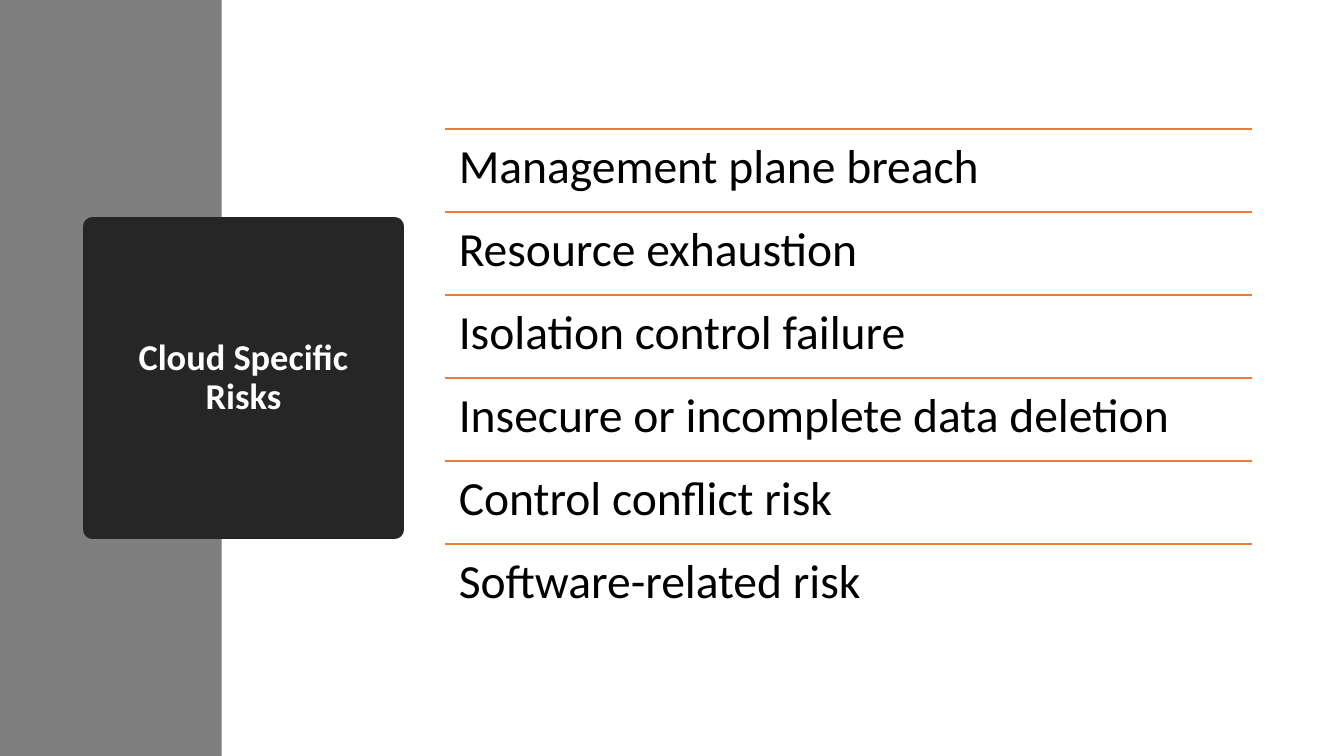
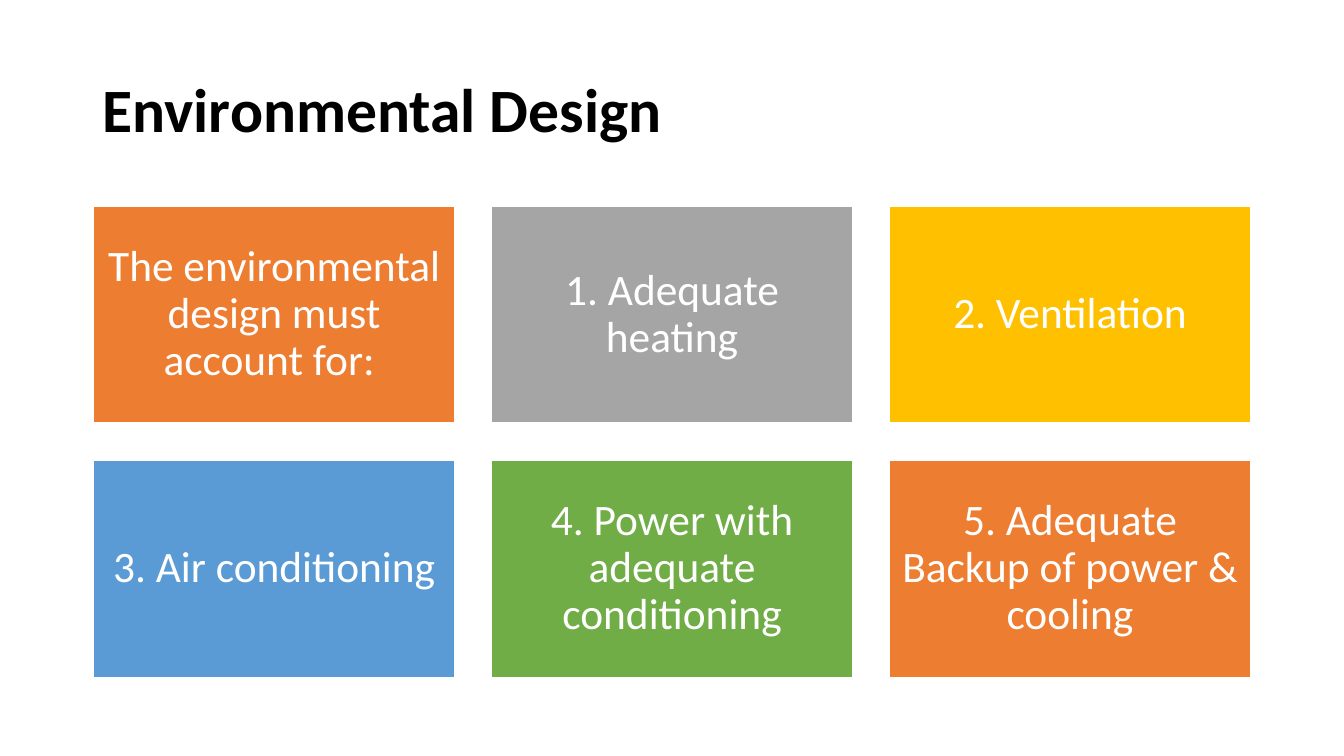
from lxml.etree import SubElement
from pptx import Presentation
from pptx.dml.color import RGBColor
from pptx.enum.shapes import MSO_CONNECTOR, MSO_SHAPE
from pptx.enum.text import MSO_ANCHOR, MSO_AUTO_SIZE, PP_ALIGN
from pptx.oxml.ns import qn
from pptx.util import Emu, Pt

FONT = "Calibri"
WHITE, BLACK, CHARCOAL, GRAY = "FFFFFF", "000000", "262626", "7F7F7F"
ORANGE, SILVER, GOLD, BLUE, GREEN = "ED7D31", "A5A5A5", "FFC000", "5B9BD5", "70AD47"
LEFT = 88

RISKS = [
    "Management plane breach",
    "Resource exhaustion",
    "Isolation control failure",
    "Insecure or incomplete data deletion",
    "Control conflict risk",
    "Software-related risk",
]
CARDS = [
    ("The environmental design must account for: ", ORANGE),
    ("1. Adequate heating", SILVER),
    ("2. Ventilation", GOLD),
    ("3. Air conditioning", BLUE),
    ("4. Power with adequate conditioning", GREEN),
    ("5. Adequate Backup of power & cooling", ORANGE),
]


def px(length):
    """Turn pixels, 96 to the inch, into EMU."""
    return Emu(length * 9525)


def color(value):
    return RGBColor.from_string(value)


def write(shape, text, size, ink=BLACK, bold=False, align=PP_ALIGN.LEFT,
          anchor=MSO_ANCHOR.MIDDLE, inset=None):
    frame = shape.text_frame
    frame.word_wrap = True
    frame.auto_size = MSO_AUTO_SIZE.NONE
    frame.vertical_anchor = anchor
    if inset is not None:
        frame.margin_left = frame.margin_right = px(inset)
        frame.margin_top = frame.margin_bottom = px(inset)
    para = frame.paragraphs[0]
    para.alignment = align
    para.line_spacing = 0.9
    span = para.add_run()
    span.text = text
    span.font.name = FONT
    span.font.size = Pt(size)
    span.font.bold = bold
    span.font.color.rgb = color(ink)


def paint(shape, fill, line=None, width=1):
    shape.fill.solid()
    shape.fill.fore_color.rgb = color(fill)
    if line:
        shape.line.color.rgb = color(line)
        shape.line.width = Pt(width)
    else:
        shape.line.fill.background()


def add_block(page, left, top, width, height, fill, line=None):
    block = page.shapes.add_shape(
        MSO_SHAPE.RECTANGLE, px(left), px(top), px(width), px(height))
    block.shadow.inherit = False
    paint(block, fill, line)
    return block


def add_rule(page, left, top, width):
    rule = page.shapes.add_connector(
        MSO_CONNECTOR.STRAIGHT, px(left), px(top), px(left + width), px(top))
    rule.line.color.rgb = color(ORANGE)
    rule.line.width = Pt(1)
    SubElement(rule.element.spPr, qn("a:effectLst"))


def place_title(page, text, left, top, width, height, size, **style):
    title = page.shapes.title
    title.left, title.top = px(left), px(top)
    title.width, title.height = px(width), px(height)
    write(title, text, size, bold=True, **style)
    return title


def add_page(deck):
    return deck.slides.add_slide(deck.slide_layouts[5])


def build_risks(deck):
    page = add_page(deck)
    band = add_block(page, 0, 0, 211, 720, GRAY)
    title = place_title(page, "Cloud Specific Risks", LEFT, 216, 288, 288, 26,
                        ink=WHITE, align=PP_ALIGN.CENTER)
    paint(title, CHARCOAL, CHARCOAL, 13.75)
    band.element.addnext(title.element)  # the title lies over the band

    left, top, width, height = 424, 123, 768, 79
    for row, risk in enumerate(RISKS):
        row_top = top + row * height
        add_rule(page, left, row_top, width)
        box = page.shapes.add_textbox(px(left), px(row_top), px(width), px(height))
        write(box, risk, 34, anchor=MSO_ANCHOR.TOP, inset=13)


def build_environment(deck):
    page = add_page(deck)
    place_title(page, "Environmental Design", LEFT, 38, 1104, 139, 44)

    left, top, width, height, gap, columns = 89, 196, 344, 207, 35, 3
    for index, (text, fill) in enumerate(CARDS):
        row, column = divmod(index, columns)
        card = add_block(page, left + column * (width + gap),
                         top + row * (height + gap), width, height, fill, WHITE)
        write(card, text, 31, ink=WHITE, align=PP_ALIGN.CENTER, inset=12)


def main():
    deck = Presentation()
    deck.slide_width, deck.slide_height = px(1280), px(720)
    build_risks(deck)
    build_environment(deck)
    deck.save("out.pptx")


if __name__ == "__main__":
    main()
